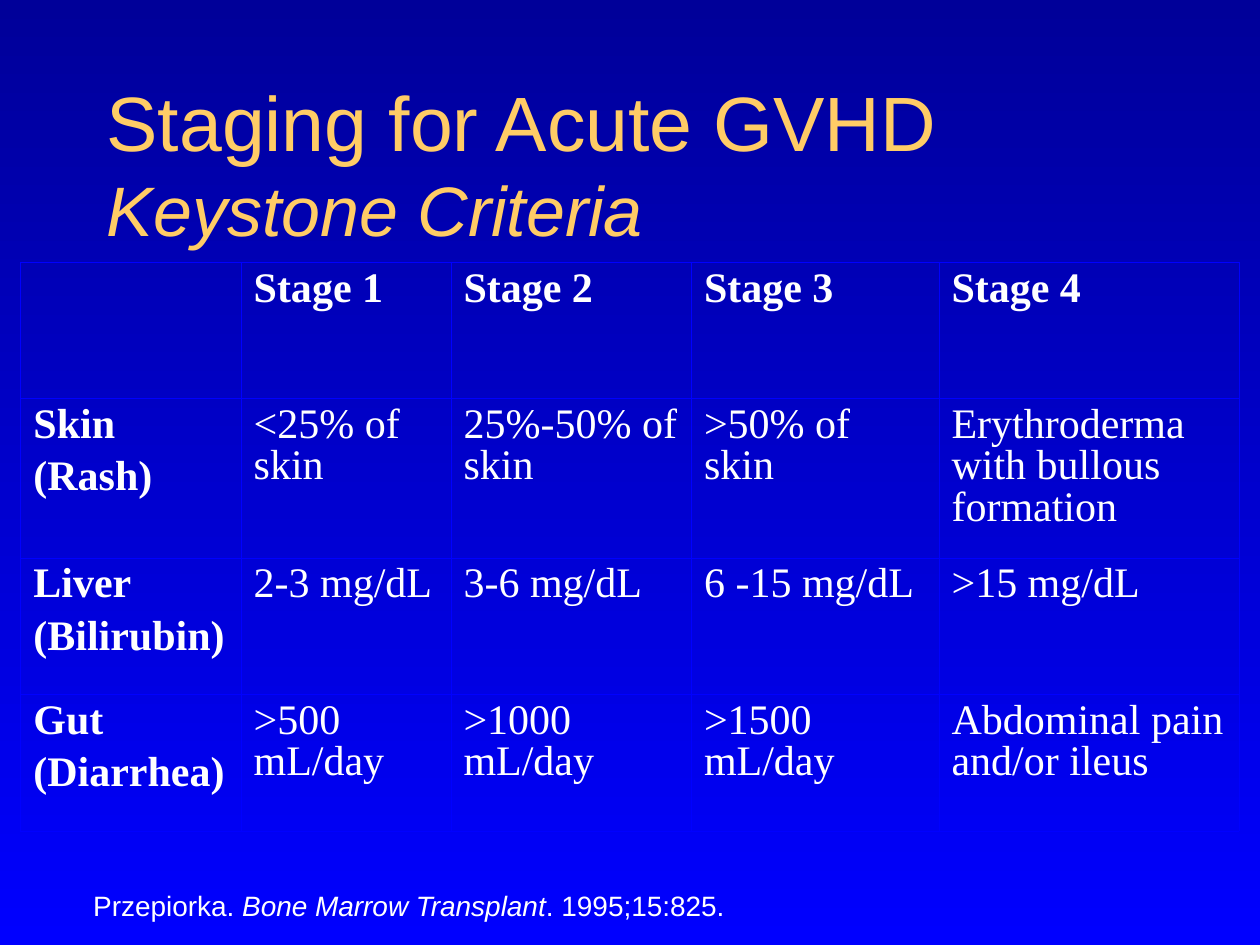
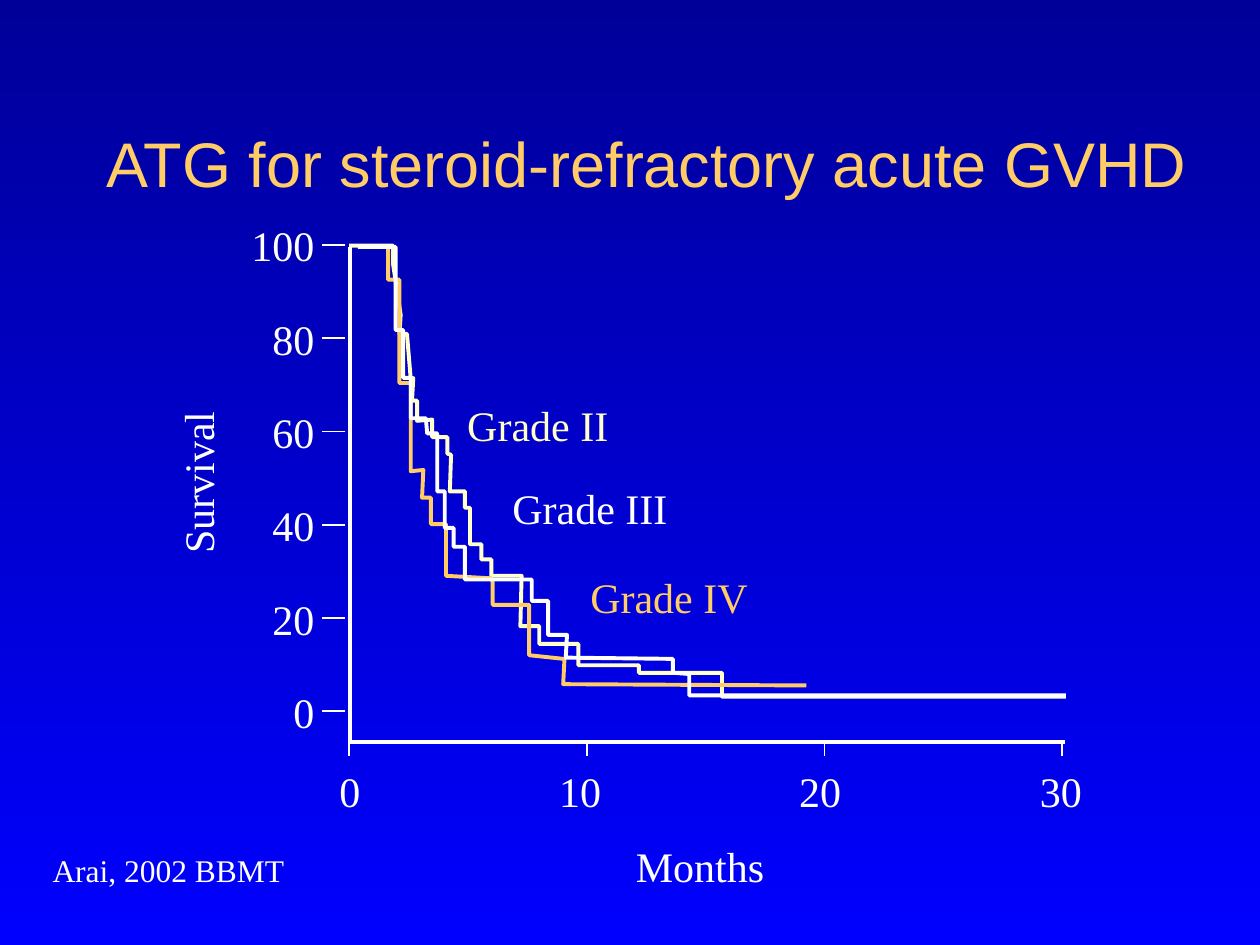
from lxml import etree
from pptx import Presentation
from pptx.dml.color import RGBColor
from pptx.enum import shapes, text
from pptx.oxml import ns
from pptx.util import Cm, Pt

SANS, SERIF = "Arial", "Times New Roman"
WHITE, GOLD, CREAM, NAVY, BLUE = "FFFFFF", "FFCC66", "FFFFCC", "000099", "0000FF"
LEFT, CENTER, RIGHT = text.PP_ALIGN.LEFT, text.PP_ALIGN.CENTER, text.PP_ALIGN.RIGHT


def rgb(value):
    return RGBColor.from_string(value)


def add_text(s, box, runs, size, font=SERIF, color=WHITE, align=LEFT, wrap=False):
    sp = s.shapes.add_textbox(*map(Cm, box))
    tf = sp.text_frame
    tf.word_wrap = wrap
    p = tf.paragraphs[0]
    p.alignment = align
    p.font.name = font
    p.font.size = Pt(size)
    p.font.color.rgb = rgb(color)
    for words, italic in runs:
        r = p.add_run()
        r.text = words
        if italic:
            r.font.italic = True
    return sp


prs = Presentation()
prs.slide_width, prs.slide_height = Cm(25.4), Cm(19.05)

titles = [
    ([("Staging for Acute GVHD ", False), ("Keystone Criteria", True)], 44),
    ([("ATG for steroid-refractory acute GVHD", False)], 36),
]
for runs, size in titles:
    s = prs.slides.add_slide(prs.slide_layouts[6])
    fill = s.background.fill
    fill.gradient()
    fill.gradient_angle = 270
    for stop, color in zip(fill.gradient_stops, (NAVY, BLUE)):
        stop.color.rgb = rgb(color)
    sp = add_text(s, (1.9, 1.69, 22.45, 3.18), runs, size, SANS, GOLD, wrap=True)
    sp.text_frame.vertical_anchor = text.MSO_ANCHOR.MIDDLE
staging, survival = prs.slides

staging.shapes[0].text_frame.paragraphs[0].runs[1].font.size = Pt(40)
citation = [("Przepiorka. ", False), ("Bone Marrow Transplant", True), (". 1995;15:825.", False)]
add_text(staging, (1.63, 17.78, 21.86, 0.94), citation, 16, SANS, wrap=True)

rows = [
    ["", "Stage 1", "Stage 2", "Stage 3", "Stage 4"],
    ["Skin\n(Rash)", "<25% of skin", "25%-50% of skin", ">50% of skin",
     "Erythroderma with bullous formation"],
    ["Liver\n(Bilirubin)", "2-3 mg/dL", "3-6 mg/dL", "6 -15 mg/dL", ">15 mg/dL"],
    ["Gut\n(Diarrhea)", ">500 mL/day", ">1000 mL/day", ">1500 mL/day",
     "Abdominal pain and/or ileus"],
]
widths = [4.44, 4.23, 4.85, 4.99, 6.05]
heights = [2.74, 3.22, 2.75, 2.75]
table = staging.shapes.add_table(
    4, 5, Cm(0.42), Cm(5.29), Cm(sum(widths)), Cm(sum(heights))).table
table.first_row = table.horz_banding = False
for column, width in zip(table.columns, widths):
    column.width = Cm(width)
for i, (row, height) in enumerate(zip(rows, heights)):
    table.rows[i].height = Cm(height)
    for j, words in enumerate(row):
        cell = table.cell(i, j)
        props = cell._tc.get_or_add_tcPr()
        for side in ("a:lnL", "a:lnR", "a:lnT", "a:lnB"):
            ln = etree.SubElement(props, ns.qn(side), w=str(Pt(0.45)))
            solid = etree.SubElement(ln, ns.qn("a:solidFill"))
            etree.SubElement(solid, ns.qn("a:srgbClr"), val=BLUE)
        cell.fill.background()
        cell.text = words
        for k, p in enumerate(cell.text_frame.paragraphs):
            p.line_spacing = 0.9
            if k:
                p.space_before = Pt(6)
            p.font.name = SERIF
            p.font.size = Pt(24)
            p.font.bold = i == 0 or j == 0
            p.font.color.rgb = rgb(WHITE)

add_text(survival, (0.81, 17.04, 5.18, 1.02), [("Arai, 2002 BBMT", False)], 18)

grade_2 = [
    (277, 195), (312, 195), (312, 210), (314, 223), (318, 250), (317, 265), (323, 265),
    (326, 301), (328, 300), (327, 318), (331, 318), (331, 334), (343, 333), (343, 347),
    (355, 347), (355, 360), (358, 361), (357, 390), (369, 390), (369, 403), (373, 403),
    (373, 432), (382, 432), (382, 444), (390, 444), (390, 457), (414, 457), (413, 497),
    (428, 497), (428, 511), (459, 511), (459, 528), (507, 528), (507, 534), (573, 534),
    (573, 553), (846, 553)]
grade_4 = [
    (308, 195), (308, 222), (317, 222), (317, 304), (326, 304), (326, 374), (336, 373),
    (335, 395), (342, 395), (342, 416), (354, 416), (354, 457), (390, 459), (391, 462),
    (391, 480), (420, 480), (420, 520), (448, 523), (447, 543), (640, 544)]
axes = [(278, 196), (278, 589), (845, 589)]
grade_3 = [
    (846, 552), (547, 552), (547, 535), (534, 534), (534, 523), (449, 522), (450, 504),
    (435, 504), (435, 477), (422, 477), (422, 460), (369, 460), (369, 434), (360, 434),
    (360, 419), (353, 419), (353, 390), (347, 390), (347, 344), (339, 344), (338, 332),
    (326, 332), (326, 300), (320, 300), (320, 262), (314, 262), (314, 196), (284, 196)]
for points, color in ((grade_2, CREAM), (grade_4, GOLD), (axes, WHITE), (grade_3, WHITE)):
    builder = survival.shapes.build_freeform(*points[0], scale=Cm(0.0254))
    builder.add_line_segments(points[1:], close=False)
    sp = builder.convert_to_shape()
    sp.shadow.inherit = False
    sp.fill.background()
    sp.line.color.rgb = rgb(color)
    sp.line.width = Pt(2.25)

ticks = []
for i in range(6):
    y = 14.34 - 1.88 * i
    ticks.append((6.96, y, 6.5, y))
    add_text(survival, (4.8, y - 0.63, 1.79, 1.27), [(str(20 * i), False)], 24, align=RIGHT)
for i, left in enumerate((6.38, 11.02, 15.86, 20.71)):
    x = 7.04 + 4.79 * i
    ticks.append((x, 14.96, x, 15.24))
    add_text(survival, (left, 15.3, 1.35, 1.27), [(str(10 * i), False)], 24, align=CENTER)
for ends in ticks:
    sp = survival.shapes.add_connector(shapes.MSO_CONNECTOR.STRAIGHT, *map(Cm, ends))
    sp.line.color.rgb = rgb(WHITE)
    sp.line.width = Pt(1)
    etree.SubElement(sp._element.spPr, ns.qn("a:effectLst"))

add_text(survival, (12.57, 16.81, 3.1, 1.27), [("Months", False)], 24)
sp = add_text(survival, (2.29, 9.09, 3.38, 1.27), [("Survival", False)], 24)
sp.rotation = 270

grades = [
    ("Grade II", 9.17, 7.92, CREAM),
    ("Grade III", 10.08, 9.6, WHITE),
    ("Grade IV", 11.65, 11.4, GOLD),
]
for name, left, top, color in grades:
    add_text(survival, (left, top, 4, 1.27), [(name, False)], 24, color=color)

prs.save("out.pptx")
